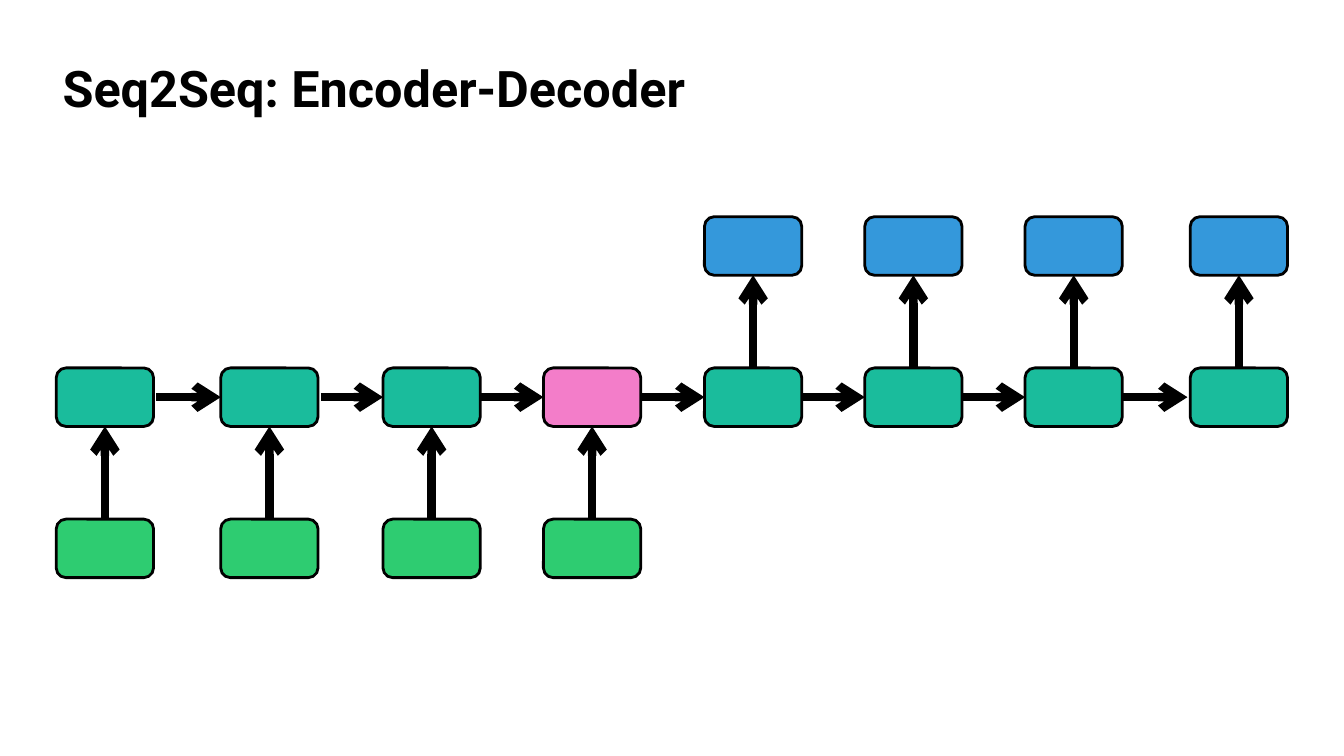
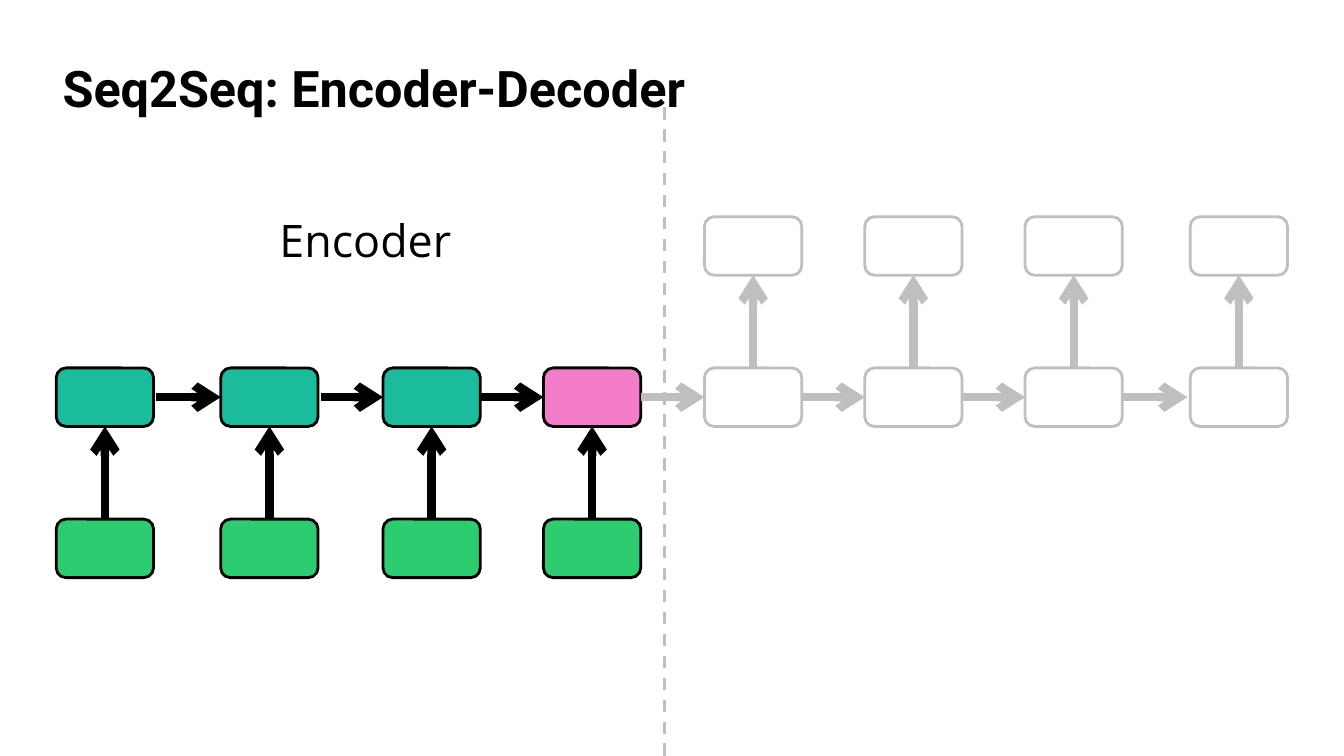
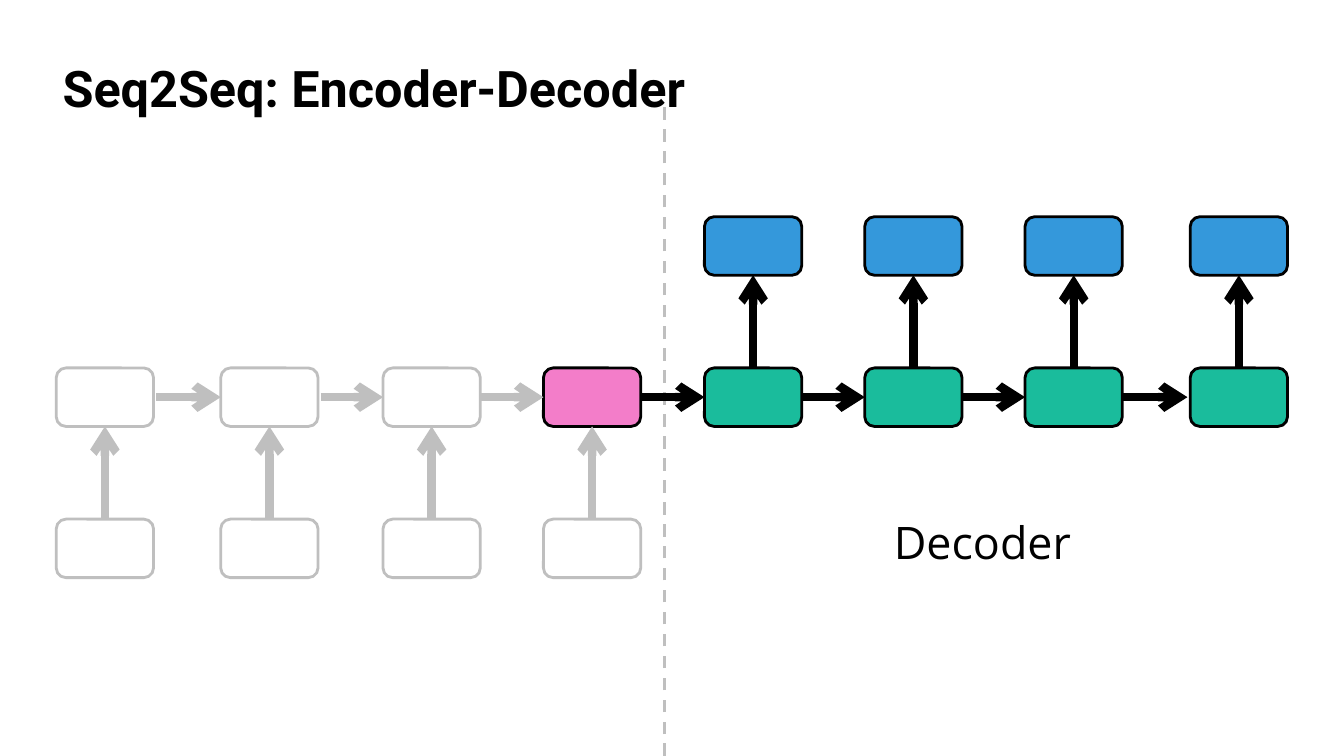
from dataclasses import dataclass

from lxml import etree
from pptx import Presentation
from pptx.dml.color import RGBColor
from pptx.enum.dml import MSO_LINE
from pptx.enum.shapes import MSO_CONNECTOR, MSO_SHAPE
from pptx.enum.text import MSO_ANCHOR, PP_ALIGN
from pptx.oxml.ns import qn
from pptx.util import Pt

STRAIGHT = MSO_CONNECTOR.STRAIGHT
ROUNDED = MSO_SHAPE.ROUNDED_RECTANGLE
DASH = MSO_LINE.DASH
MIDDLE = MSO_ANCHOR.MIDDLE
LEFT, CENTER = PP_ALIGN.LEFT, PP_ALIGN.CENTER
TOP_SIDE, LEFT_SIDE, BOTTOM_SIDE, RIGHT_SIDE = range(4)
TITLE_ONLY = 5


@dataclass(frozen=True)
class Theme:
    ink: str = "000000"
    muted: str = "BFBFBF"
    blank: str = "FFFFFF"
    hidden: str = "1ABC9C"
    context: str = "F37DC9"
    input: str = "2ECC71"
    output: str = "3498DB"
    title_font: str = "Roboto"
    label_font: str = "Open Sans"
    title_size: float = 36
    label_size: float = 32
    outline: float = 2
    arrow: float = 6
    divider: float = 2.25


THEME = Theme()
SLIDE_W, SLIDE_H = 960, 540
TITLE = "Seq2Seq: Encoder-Decoder"
TITLE_BOX = (37.5, 39.5, 913.5, 52)
DIAGRAM_AT = (40.2, 154.8)

# Diagram geometry, relative to its top left corner
CELL_W, CELL_H, ROW_STEP = 69.5, 41.8, 108
COLUMNS = (0, 117.5, 233.4, 348, 463, 577.5, 692, 810)
ENCODER_STEPS = 4
LINK_GAPS = {0: (2, 0), 1: (2, 0), 6: (0, 2)}  # space before and after


def rgb(value):
    return RGBColor.from_string(value)


def style_text(tf, text, font, size, align, bold=False):
    tf.text = text
    p = tf.paragraphs[0]
    p.alignment = align
    f = p.runs[0].font
    f.name, f.size, f.bold = font, Pt(size), bold
    f.color.rgb = rgb(THEME.ink)
    return p


def add_title(s):
    title = s.shapes.title
    title.left, title.top, title.width, title.height = map(Pt, TITLE_BOX)
    title.text_frame.vertical_anchor = MIDDLE
    p = style_text(title.text_frame, TITLE, THEME.title_font,
                   THEME.title_size, LEFT, bold=True)
    p.line_spacing = 0.9


def add_label(s, text, box):
    tf = s.shapes.add_textbox(*map(Pt, box)).text_frame
    tf.word_wrap = True
    style_text(tf, text, THEME.label_font, THEME.label_size, CENTER)


def add_line(s, start, end, color, width):
    line = s.shapes.add_connector(STRAIGHT, *map(Pt, start + end))
    line.line.color.rgb = rgb(color)
    line.line.width = Pt(width)
    etree.SubElement(line._element.spPr, qn("a:effectLst"))
    return line


def add_arrow(s, start, end, color):
    arrow = add_line(s, start, end, color, THEME.arrow)
    ln = arrow.line._get_or_add_ln()
    etree.SubElement(ln, qn("a:tailEnd"), type="arrow")
    return arrow


def add_divider(s, x=474.5, top=71.3):
    line = add_line(s, (x, SLIDE_H), (x, top), THEME.muted, THEME.divider)
    line.line.dash_style = DASH


def add_cell(s, x, y, fill, active):
    cell = s.shapes.add_shape(ROUNDED, Pt(x), Pt(y), Pt(CELL_W), Pt(CELL_H))
    cell.shadow.inherit = False
    cell.fill.solid()
    cell.fill.fore_color.rgb = rgb(fill if active else THEME.blank)
    cell.line.color.rgb = rgb(THEME.ink if active else THEME.muted)
    cell.line.width = Pt(THEME.outline)
    return cell


def add_step(s, x, y, index, active):
    """One time step: a hidden cell with its input below or output above."""
    is_encoder = index < ENCODER_STEPS
    is_context = index == ENCODER_STEPS - 1
    hidden = add_cell(s, x, y + ROW_STEP,
                      THEME.context if is_context else THEME.hidden,
                      active or is_context)
    if is_encoder:
        source = add_cell(s, x, y + 2 * ROW_STEP, THEME.input, active)
        target = hidden
    else:
        source = hidden
        target = add_cell(s, x, y, THEME.output, active)
    color = THEME.ink if active else THEME.muted
    arrow = add_arrow(s, (0, 0), (0, 0), color)
    arrow.begin_connect(source, TOP_SIDE)
    arrow.end_connect(target, BOTTOM_SIDE)
    return hidden


def add_link(s, before, after, gaps, active):
    """Arrow between neighbouring hidden cells, joined where it touches."""
    y = (before.top + before.height / 2) / Pt(1)
    start = (before.left + before.width) / Pt(1) + gaps[0]
    end = after.left / Pt(1) - gaps[1]
    arrow = add_arrow(s, (start, y), (end, y),
                      THEME.ink if active else THEME.muted)
    if not gaps[0]:
        arrow.begin_connect(before, RIGHT_SIDE)
    if not gaps[1]:
        arrow.end_connect(after, LEFT_SIDE)


def add_diagram(s, left, top, encoder_on, decoder_on):
    active = [encoder_on if i < ENCODER_STEPS else decoder_on
              for i in range(len(COLUMNS))]
    hidden = [add_step(s, left + x, top, i, active[i])
              for i, x in enumerate(COLUMNS)]
    for i, (before, after) in enumerate(zip(hidden, hidden[1:])):
        add_link(s, before, after, LINK_GAPS.get(i, (0, 0)), active[i + 1])


def add_model_slide(prs, encoder_on=True, decoder_on=True, label=None):
    s = prs.slides.add_slide(prs.slide_layouts[TITLE_ONLY])
    add_title(s)
    if label:
        add_divider(s)
    add_diagram(s, *DIAGRAM_AT, encoder_on, decoder_on)
    if label:
        add_label(s, *label)


def main():
    prs = Presentation()
    prs.slide_width, prs.slide_height = Pt(SLIDE_W), Pt(SLIDE_H)
    add_model_slide(prs)
    add_model_slide(prs, decoder_on=False,
                    label=("Encoder", (181.5, 148.3, 159, 46)))
    add_model_slide(prs, encoder_on=False,
                    label=("Decoder", (628, 364.3, 147.5, 46)))
    prs.save("out.pptx")


if __name__ == "__main__":
    main()
